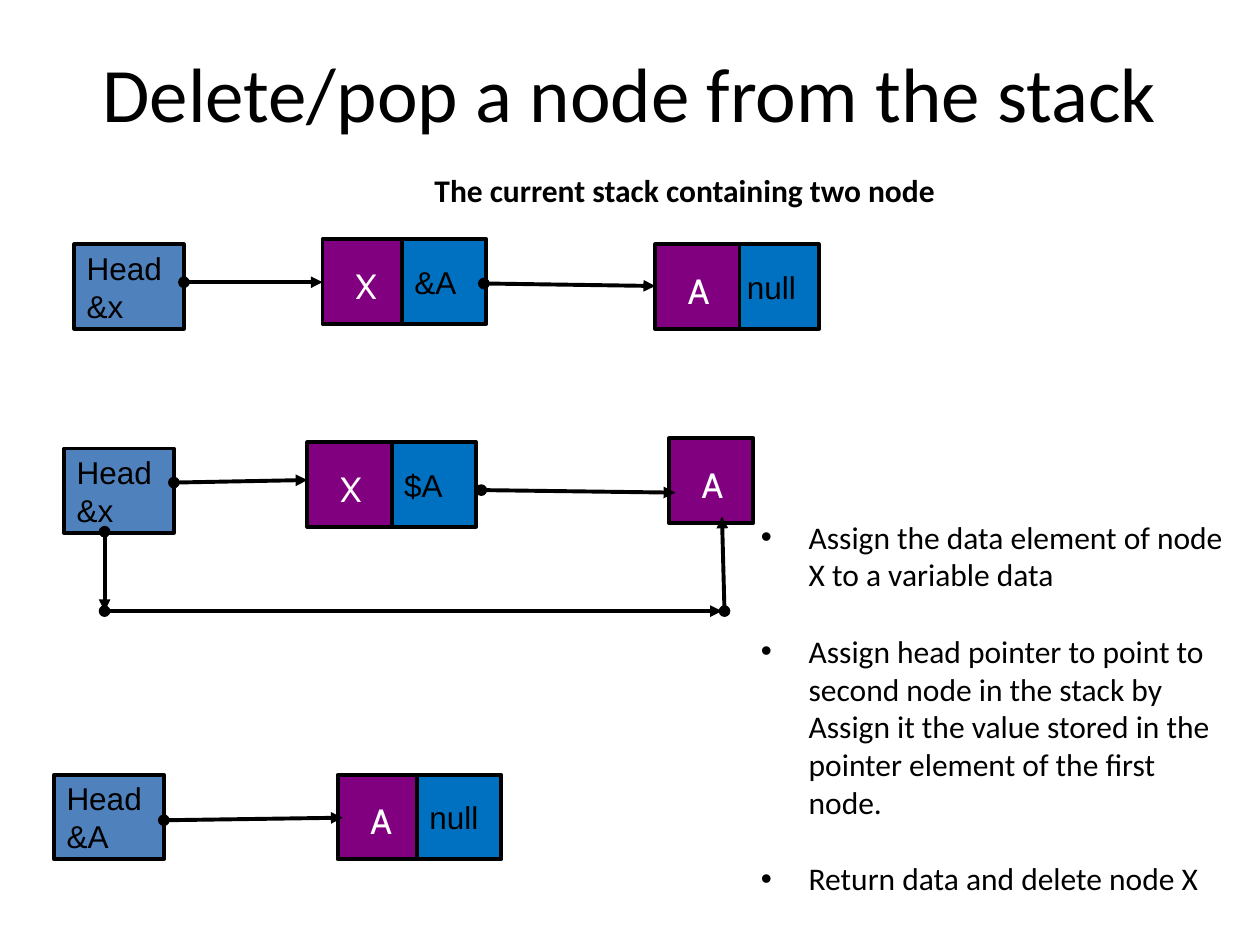
from lxml import etree
from pptx import Presentation
from pptx.dml.color import RGBColor
from pptx.enum.shapes import MSO_CONNECTOR, MSO_SHAPE
from pptx.enum.text import MSO_ANCHOR, MSO_AUTO_SIZE, PP_ALIGN
from pptx.oxml.ns import qn
from pptx.util import Inches, Pt

COLS, ROWS = 100, 75    # grid over the 10 x 7.5 inch slide
CELL = 6.7              # side of a node cell
HEAD_WIDTH = 8.7


def color(value):
    return RGBColor.from_string(value)


class StackSlide:
    BLACK, WHITE = "000000", "FFFFFF"
    HEAD, DATA, POINTER = "4F81BD", "800080", "0070C0"
    LINE = Pt(2.25)

    def __init__(self, prs):
        self.s = prs.slides.add_slide(prs.slide_layouts[6])
        self.col = prs.slide_width / COLS
        self.row = prs.slide_height / ROWS

    def place(self, x, y, w, h):
        return (round(x * self.col), round(y * self.row),
                round(w * self.col), round(h * self.row))

    def set_lines(self, tf, lines, size, font, fill=BLACK, bold=False,
                  align=PP_ALIGN.LEFT):
        for i, line in enumerate(lines):
            p = tf.paragraphs[0] if i == 0 else tf.add_paragraph()
            p.text = line
            p.alignment = align
            p.font.size = Pt(size)
            p.font.name = font
            p.font.bold = bold
            p.font.color.rgb = color(fill)

    def text(self, x, y, w, h, lines, size=18, font="Calibri", parent=None,
             wrap=True, anchor=MSO_ANCHOR.TOP, **style):
        shapes = (parent or self.s).shapes
        tf = shapes.add_textbox(*self.place(x, y, w, h)).text_frame
        tf.word_wrap = wrap
        tf.auto_size = MSO_AUTO_SIZE.NONE
        tf.vertical_anchor = anchor
        self.set_lines(tf, lines, size, font, **style)
        return tf

    def bullets(self, x, y, w, h, items):
        tf = self.text(x, y, w, h, items)
        for i, p in enumerate(tf.paragraphs):
            p.space_before = Pt(22 if i else 0)
            pPr = p._p.get_or_add_pPr()
            pPr.set("marL", str(Inches(0.38)))
            pPr.set("indent", str(-Inches(0.38)))
            bullet_font = etree.Element(qn("a:buFont"), typeface="Arial")
            bullet = etree.Element(qn("a:buChar"), char="•")
            pPr.insert_element_before(bullet_font, "a:defRPr")
            pPr.insert_element_before(bullet, "a:defRPr")

    def box(self, x, y, w, fill, lines=(), parent=None):
        shapes = (parent or self.s).shapes
        sp = shapes.add_shape(MSO_SHAPE.RECTANGLE, *self.place(x, y, w, CELL))
        sp.shadow.inherit = False
        sp.fill.solid()
        sp.fill.fore_color.rgb = color(fill)
        sp.line.color.rgb = color(self.BLACK)
        sp.line.width = self.LINE
        tf = sp.text_frame
        tf.word_wrap = False
        tf.vertical_anchor = MSO_ANCHOR.MIDDLE
        self.set_lines(tf, lines, 18, "Arial")

    def head(self, x, y, target):
        self.box(x, y, HEAD_WIDTH, self.HEAD, ["Head", target])

    def pointer(self, x, y, target):
        self.box(x, y, CELL, self.POINTER, [target])

    def data(self, x, y, letter):
        group = self.s.shapes.add_group_shape()
        self.box(x, y, CELL, self.DATA, parent=group)
        self.text(x + 1.6, y + 1.5, 3.7, 4.4, [letter], 20, "Cabin", group,
                  wrap=False, fill=self.WHITE, align=PP_ALIGN.CENTER)

    def arrow(self, x1, y1, x2, y2):
        ends = self.place(x1, y1, x2, y2)
        c = self.s.shapes.add_connector(MSO_CONNECTOR.STRAIGHT, *ends)
        c.line.color.rgb = color(self.BLACK)
        c.line.width = self.LINE
        ln = c.line._get_or_add_ln()
        etree.SubElement(ln, qn("a:headEnd"), type="oval")
        etree.SubElement(ln, qn("a:tailEnd"), type="triangle")
        etree.SubElement(c._element.spPr, qn("a:effectLst"))


def main():
    prs = Presentation()
    prs.slide_width, prs.slide_height = Inches(10), Inches(7.5)
    slide = StackSlide(prs)

    # Title and caption
    slide.text(5, 3, 90, 8.5, ["Delete/pop a node from the stack"], 44,
               anchor=MSO_ANCHOR.MIDDLE, align=PP_ALIGN.CENTER)
    slide.text(33.5, 13.1, 43.3, 4, ["The current stack containing two node"],
               bold=True)

    # Stack before the pop
    slide.head(5.9, 19.4, "&x")
    slide.data(25.6, 19, "X")
    slide.pointer(31.9, 19, "&A")
    slide.pointer(58.3, 19.4, "null")
    slide.data(52, 19.4, "A")

    # Head is moved past the first node
    slide.head(5.1, 35.6, "&x")
    slide.data(24.4, 35.1, "X")
    slide.pointer(31.1, 35.1, "$A")
    slide.data(53.1, 34.8, "A")

    # Stack after the pop
    slide.head(4.3, 61.5, "&A")
    slide.data(26.8, 61.5, "A")
    slide.pointer(33.1, 61.5, "null")

    # Steps
    slide.bullets(59.4, 40.6, 39.4, 31.3, [
        "Assign the data element of node X to a variable data",
        "Assign head pointer to point to second node in the stack by "
        "Assign it the value stored in the pointer element of the first node.",
        "Return data and delete node X",
    ])

    # Links between nodes, then the bypass from head to A
    for ends in [
        (14.6, 22.4, 25.6, 22.4),
        (38.4, 22.5, 52, 22.7),
        (13.8, 38.3, 24.4, 38.1),
        (38.2, 38.9, 53.6, 39.1),
        (13, 65.1, 27.2, 64.9),
        (8.3, 42.2, 8.3, 48.5),
        (8.3, 48.5, 57.3, 48.5),
        (57.5, 48.5, 57.3, 41),
    ]:
        slide.arrow(*ends)

    prs.save("out.pptx")


if __name__ == "__main__":
    main()
